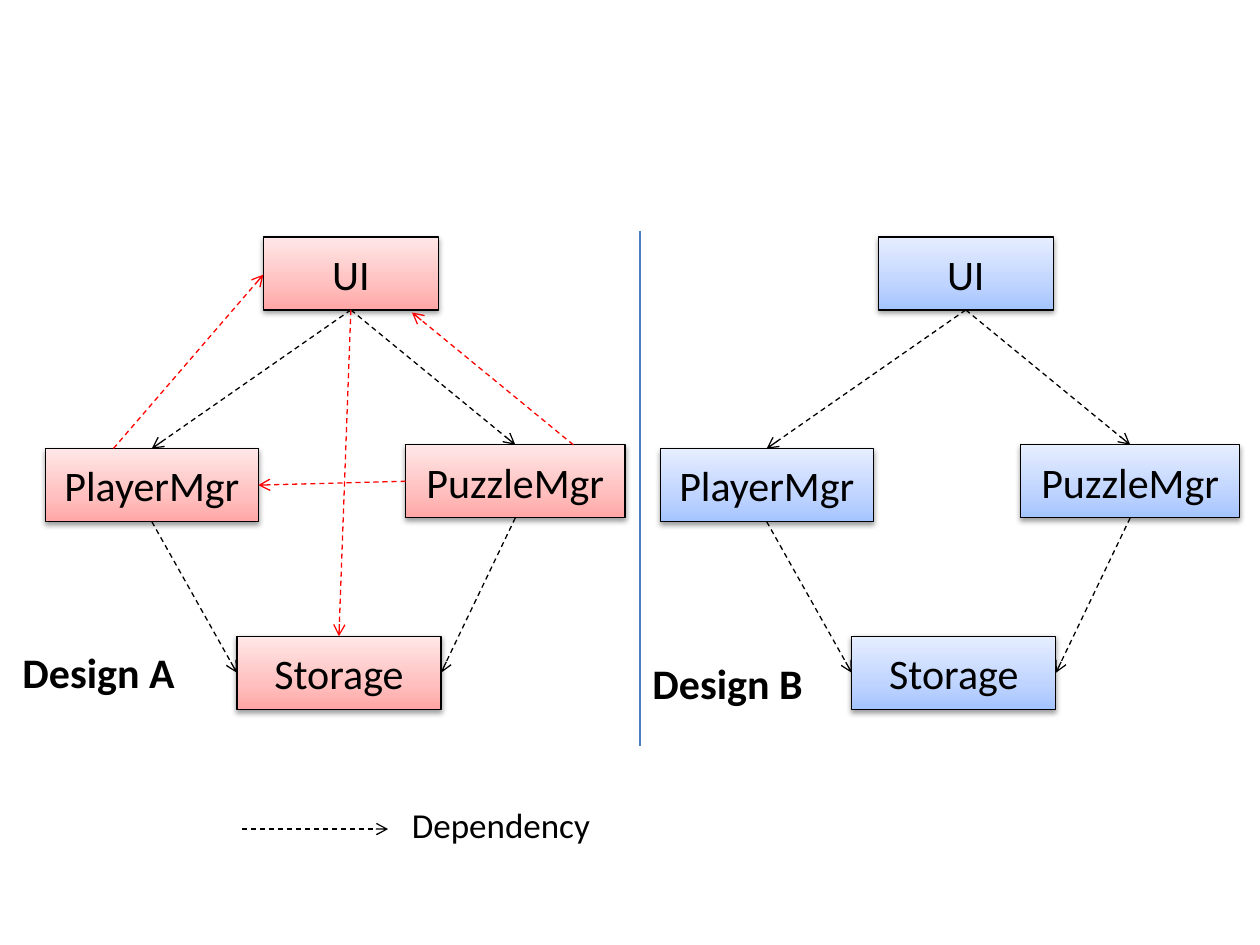
from copy import deepcopy

from pptx import Presentation
from pptx import util as u
from pptx.dml.color import RGBColor
from pptx.enum import dml, shapes, text
from pptx.oxml import parse_xml
from pptx.oxml.ns import nsdecls, qn
from pptx.oxml.xmlchemy import OxmlElement

BLACK, RED = "000000", "FF0000"
PINKS = ("FFA6A5", "FFC0BF", "FFE7E7")
BLUES = ("A4C4FF", "BFD4FF", "E6EEFF")
BOX_H = 0.58
DESIGN_STEP = 4.88
MODULES = {
    "UI": (2.09, 1.88, 1.39),
    "PlayerMgr": (0.36, 3.56, 1.69),
    "PuzzleMgr": (3.22, 3.53, 1.74),
    "Storage": (1.88, 5.05, 1.62),
}
TOP, LEFT, BOTTOM, RIGHT = range(4)
DEPENDENCIES = [
    ("UI", BOTTOM, "PlayerMgr", TOP),
    ("UI", BOTTOM, "PuzzleMgr", TOP),
    ("PlayerMgr", BOTTOM, "Storage", LEFT),
    ("PuzzleMgr", BOTTOM, "Storage", RIGHT),
]
EXTRA_DEPENDENCIES = [
    ("UI", BOTTOM, "Storage", TOP),
    ("PuzzleMgr", LEFT, "PlayerMgr", RIGHT),
]


def rgb(value):
    """Turn a hex string into a colour."""
    return RGBColor.from_string(value)


def set_font(p, size, bold=False):
    """Set the slide's black Calibri on a paragraph."""
    p.font.name = "Calibri"
    p.font.size = u.Pt(size)
    p.font.bold = bold
    p.font.color.rgb = rgb(BLACK)


def fill_gradient(sp, colors):
    """Fill a shape with three colours rising from its bottom edge."""
    sp.fill.gradient()
    sp.fill.gradient_angle = 90
    stops = sp._element.spPr.find(".//" + qn("a:gsLst"))
    stops.insert(1, deepcopy(stops[0]))
    for stop, position, color in zip(sp.fill.gradient_stops, (0, 0.35, 1), colors):
        stop.position = position
        stop.color.rgb = rgb(color)


def add_soft_shadow(sp):
    """Give a shape a faint shadow below it."""
    sp.shadow.inherit = False
    sp._element.spPr.find(qn("a:effectLst")).append(parse_xml(
        f'<a:outerShdw {nsdecls("a")} blurRad="40000" dist="20000" dir="5400000" '
        'rotWithShape="0"><a:srgbClr val="000000"><a:alpha val="38000"/>'
        '</a:srgbClr></a:outerShdw>'))


def add_module(s, name, left, top, width, colors):
    """Add a module box with its name."""
    sp = s.shapes.add_shape(shapes.MSO_SHAPE.RECTANGLE, u.Inches(left),
                            u.Inches(top), u.Inches(width), u.Inches(BOX_H))
    fill_gradient(sp, colors)
    sp.line.color.rgb = rgb(BLACK)
    sp.line.width = u.Pt(0.75)
    add_soft_shadow(sp)
    tf = sp.text_frame
    tf.vertical_anchor = text.MSO_ANCHOR.MIDDLE
    p = tf.paragraphs[0]
    p.text = name
    p.alignment = text.PP_ALIGN.CENTER
    set_font(p, 24)
    return sp


def add_line(s, start=(0, 0), end=(0, 0), color=BLACK):
    """Add a thin straight line without a shadow."""
    line = s.shapes.add_connector(shapes.MSO_CONNECTOR.STRAIGHT,
                                  *map(u.Inches, start + end))
    line.line.color.rgb = rgb(color)
    line.line.width = u.Pt(0.75)
    line._element.spPr.append(OxmlElement("a:effectLst"))
    return line


def add_arrow(s, start=(0, 0), end=(0, 0), color=BLACK):
    """Add a dashed line with an open arrowhead at its end."""
    arrow = add_line(s, start, end, color)
    arrow.line.dash_style = dml.MSO_LINE.DASH
    head = OxmlElement("a:tailEnd")
    head.set("type", "arrow")
    arrow.line._get_or_add_ln().append(head)
    return arrow


def add_dependencies(s, boxes, links, color=BLACK):
    """Join module boxes with arrows at their connection sites."""
    for source, source_site, target, target_site in links:
        arrow = add_arrow(s, color=color)
        arrow.begin_connect(boxes[source], source_site)
        arrow.end_connect(boxes[target], target_site)


def add_design(s, shift, colors):
    """Add the four modules of a design and their shared dependencies."""
    boxes = {name: add_module(s, name, left + shift, top, width, colors)
             for name, (left, top, width) in MODULES.items()}
    add_dependencies(s, boxes, DEPENDENCIES)
    return boxes


def add_label(s, words, left, top, width, height, size, bold=False):
    """Add a one-line text box."""
    box = s.shapes.add_textbox(*map(u.Inches, (left, top, width, height)))
    tf = box.text_frame
    tf.word_wrap = False
    tf.auto_size = text.MSO_AUTO_SIZE.SHAPE_TO_FIT_TEXT
    p = tf.paragraphs[0]
    p.text = words
    set_font(p, size, bold)


def main():
    """Build the slide comparing two designs."""
    prs = Presentation()
    prs.slide_width, prs.slide_height = u.Inches(10), u.Inches(7.5)
    s = prs.slides.add_slide(prs.slide_layouts[6])

    boxes = add_design(s, 0, PINKS)
    add_dependencies(s, boxes, EXTRA_DEPENDENCIES, RED)
    add_arrow(s, (4.55, 3.53), (3.27, 2.48), RED)
    add_arrow(s, (0.9, 3.56), (2.09, 2.18), RED)
    add_design(s, DESIGN_STEP, BLUES)

    add_label(s, "Design A", 0.08, 5.08, 1.42, 0.5, 24, True)
    add_label(s, "Design B", 5.08, 5.17, 1.41, 0.5, 24, True)
    add_line(s, (5.08, 1.83), (5.08, 5.92), "4B7EBC")
    add_arrow(s, (1.92, 6.58), (3.08, 6.58))
    add_label(s, "Dependency", 3.17, 6.33, 1.63, 0.44, 20)
    prs.save("out.pptx")


if __name__ == "__main__":
    main()
